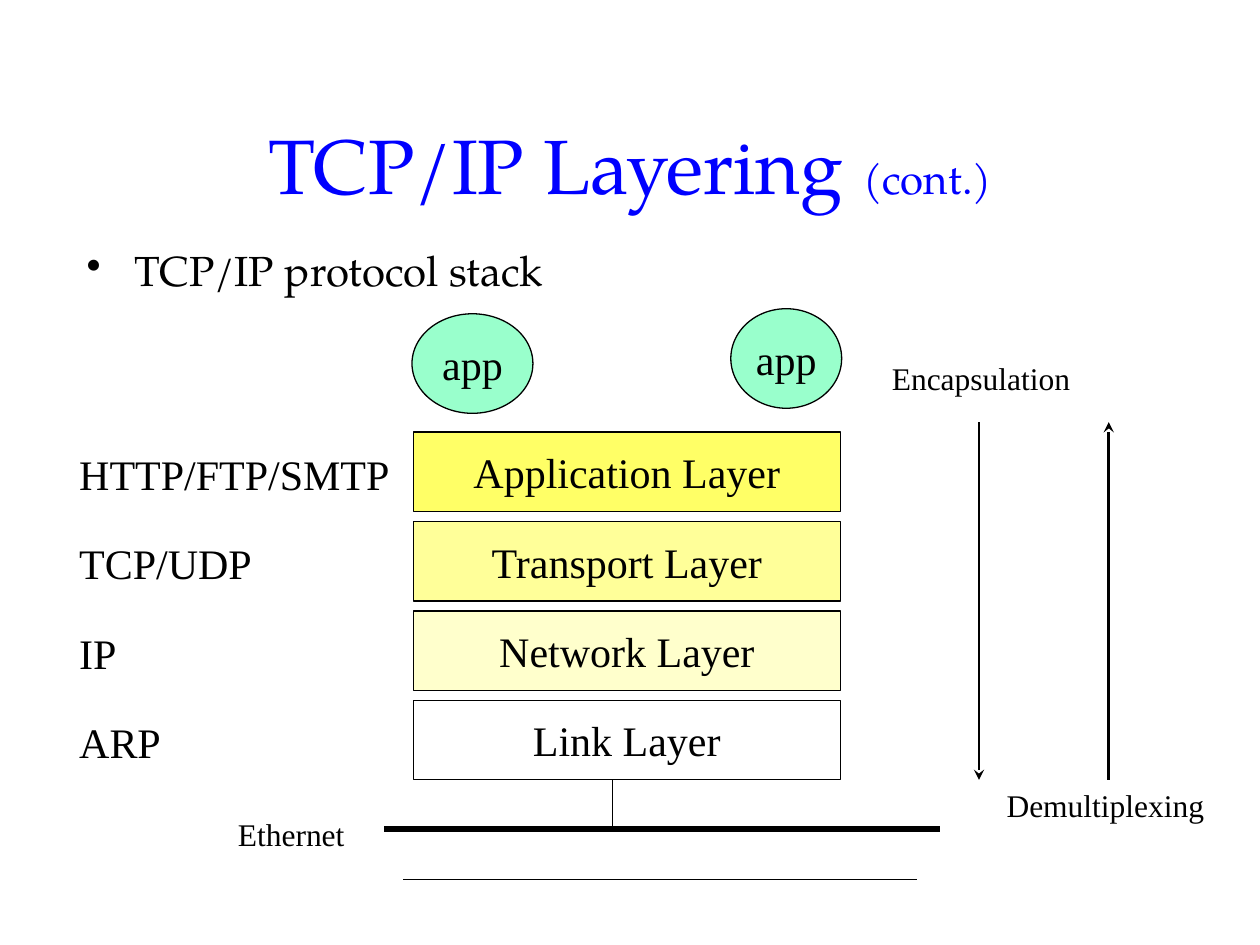
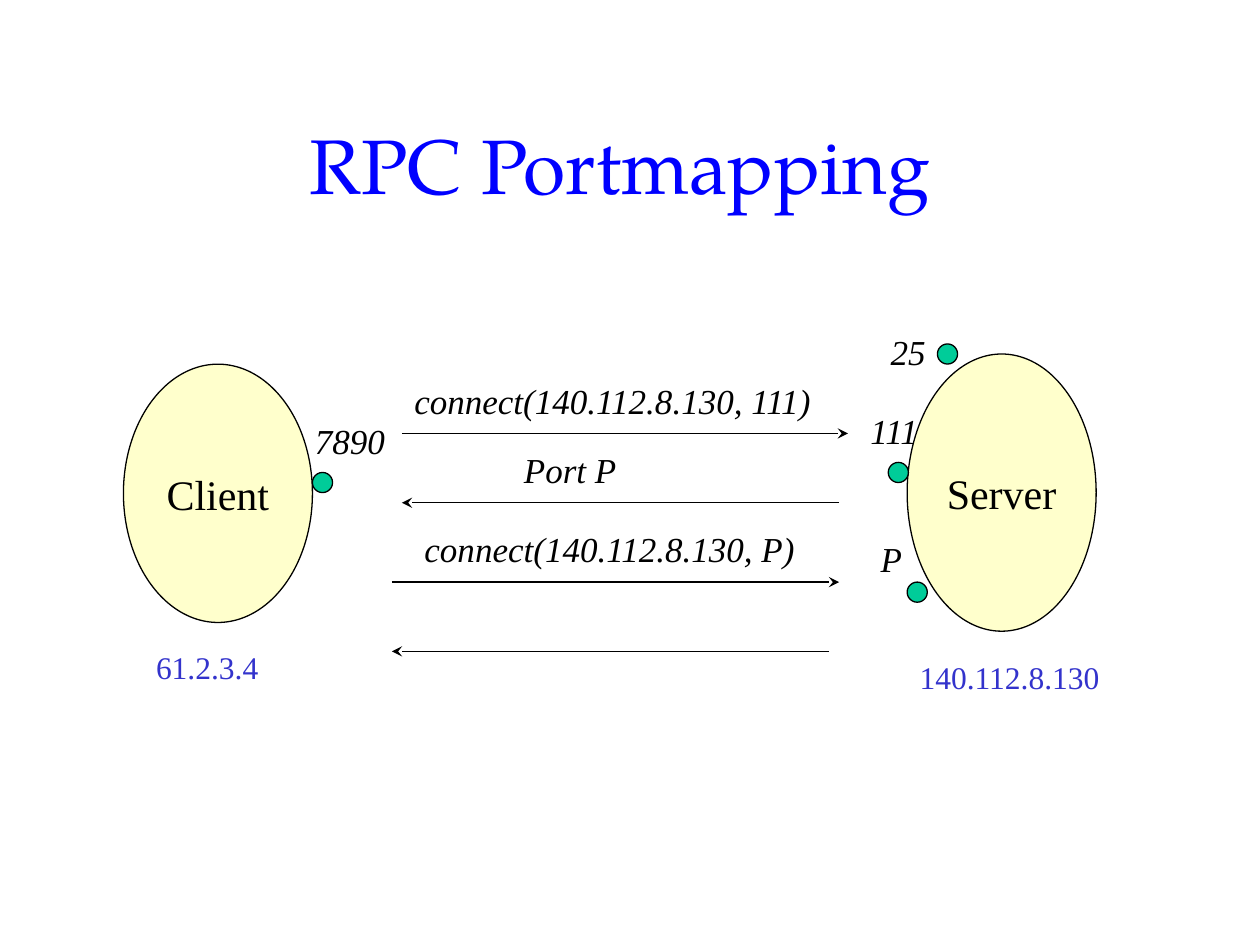
"""Build two slides on TCP/IP layering and RPC port mapping."""
from dataclasses import dataclass

from lxml.etree import SubElement
from pptx import Presentation
from pptx.dml.color import RGBColor
from pptx.enum.shapes import MSO_CONNECTOR, MSO_SHAPE
from pptx.enum.text import MSO_ANCHOR, MSO_AUTO_SIZE, PP_ALIGN
from pptx.oxml.ns import qn
from pptx.util import Inches, Pt


@dataclass(frozen=True)
class Theme:
    heading_font: str = "TeX Gyre Pagella"
    body_font: str = "Times New Roman"
    title_size: int = 44
    body_size: int = 24
    message_size: int = 20
    note_size: int = 18
    thin: float = 0.75
    medium: float = 1.5
    thick: float = 3
    title: str = "0000FF"
    ink: str = "000000"
    address: str = "3333CC"
    app: str = "99FFCC"
    port: str = "00CC99"
    host: str = "FFFFCC"
    layers: tuple = ("FFFF66", "FFFF99", "FFFFCC", "FFFFFF")


THEME = Theme()


def add_span(para, text, size=THEME.body_size, color=THEME.ink,
             font=THEME.body_font, italic=False):
    span = para.add_run()
    span.text = text
    span.font.name = font
    span.font.size = Pt(size)
    span.font.italic = italic
    span.font.color.rgb = RGBColor.from_string(color)


class Painter:
    def __init__(self, deck, theme):
        self.deck = deck
        self.theme = theme
        self.page = None

    def new_page(self, title, suffix=""):
        self.page = self.deck.slides.add_slide(self.deck.slide_layouts[6])
        box = self.text_box(0.75, 0.67, 8.5, 1.25)
        box.text_frame.vertical_anchor = MSO_ANCHOR.MIDDLE
        para = box.text_frame.paragraphs[0]
        para.alignment = PP_ALIGN.CENTER
        style = {"font": self.theme.heading_font, "color": self.theme.title}
        add_span(para, title, size=self.theme.title_size, **style)
        if suffix:
            add_span(para, suffix, **style)

    def text_box(self, left, top, width, height):
        box = self.page.shapes.add_textbox(
            Inches(left), Inches(top), Inches(width), Inches(height))
        box.text_frame.word_wrap = True
        return box

    def bullet(self, text, left, top, width, height):
        para = self.text_box(left, top, width, height).text_frame.paragraphs[0]
        para.line_spacing = 0.9
        para.space_before = Pt(6)
        properties = para._p.get_or_add_pPr()
        indent = Inches(0.38)
        properties.set("marL", str(indent))
        properties.set("indent", str(-indent))
        SubElement(properties, qn("a:buChar")).set("char", "•")
        add_span(para, text, font=self.theme.heading_font)

    def label(self, text, left, top, width, height, **style):
        frame = self.text_box(left, top, width, height).text_frame
        frame.auto_size = MSO_AUTO_SIZE.SHAPE_TO_FIT_TEXT
        add_span(frame.paragraphs[0], text, **style)

    def note(self, text, left, top, width, color=THEME.ink):
        self.label(text, left, top, width, 0.4,
                   size=self.theme.note_size, color=color)

    def message(self, text, left, top, width):
        self.label(text, left, top, width, 0.44,
                   size=self.theme.message_size, italic=True)

    def shape(self, kind, left, top, width, height, fill, text=""):
        shape = self.page.shapes.add_shape(
            kind, Inches(left), Inches(top), Inches(width), Inches(height))
        shape.shadow.inherit = False
        shape.fill.solid()
        shape.fill.fore_color.rgb = RGBColor.from_string(fill)
        shape.line.color.rgb = RGBColor.from_string(self.theme.ink)
        shape.line.width = Pt(self.theme.thin)
        if text:
            frame = shape.text_frame
            frame.word_wrap = False
            frame.vertical_anchor = MSO_ANCHOR.MIDDLE
            frame.paragraphs[0].alignment = PP_ALIGN.CENTER
            add_span(frame.paragraphs[0], text)

    def oval(self, left, top, width, height, fill, text=""):
        self.shape(MSO_SHAPE.OVAL, left, top, width, height, fill, text)

    def line(self, x1, y1, x2, y2, weight=THEME.thin, arrow=False):
        line = self.page.shapes.add_connector(
            MSO_CONNECTOR.STRAIGHT,
            Inches(x1), Inches(y1), Inches(x2), Inches(y2))
        line.line.color.rgb = RGBColor.from_string(self.theme.ink)
        line.line.width = Pt(weight)
        if arrow:
            SubElement(line.line._get_or_add_ln(),
                       qn("a:tailEnd")).set("type", "stealth")
        SubElement(line._element.spPr, qn("a:effectLst"))


def draw_layering(painter):
    theme = painter.theme
    painter.new_page("TCP/IP Layering ", "(cont.)")
    painter.bullet("TCP/IP protocol stack", 0.59, 1.94, 8.5, 0.47)

    layers = (("Application Layer", "HTTP/FTP/SMTP"),
              ("Transport Layer", "TCP/UDP"),
              ("Network Layer", "IP"),
              ("Link Layer", "ARP"))
    for row, ((layer, protocols), fill) in enumerate(zip(layers, theme.layers)):
        top = 3.43 + row * 0.71
        painter.shape(MSO_SHAPE.RECTANGLE, 3.28, top, 3.39, 0.63, fill, layer)
        painter.label(protocols, 0.53, top + 0.08, 2.68, 0.5)

    painter.oval(5.8, 2.45, 0.88, 0.79, theme.app, "app")
    painter.oval(3.27, 2.49, 0.96, 0.79, theme.app, "app")

    stack_top, stack_bottom, wire = 3.35, 6.19, 6.58
    painter.note("Encapsulation", 6.98, 2.8, 1.73)
    painter.line(7.77, stack_top, 7.77, stack_bottom, theme.medium, arrow=True)
    painter.note("Demultiplexing", 7.89, stack_bottom, 1.85)
    painter.line(8.8, stack_bottom, 8.8, stack_top, theme.medium, arrow=True)

    painter.note("Ethernet", 1.79, 6.42, 1.1)
    painter.line(4.86, stack_bottom, 4.86, wire)
    painter.line(3.05, wire, 7.46, wire, theme.thick)
    painter.line(3.2, 6.98, 7.28, 6.98)


def draw_portmapping(painter):
    theme = painter.theme
    painter.new_page("RPC Portmapping ")

    painter.oval(0.98, 2.89, 1.5, 2.05, theme.host, "Client")
    painter.oval(7.2, 2.81, 1.5, 2.2, theme.host, "Server")
    painter.note("61.2.3.4", 1.14, 5.09, 1.34, theme.address)
    painter.note("140.112.8.130", 7.2, 5.17, 2.21, theme.address)

    ports = (("7890", 2.48, 3.75, 2.4, 3.28, 0.79),
             ("25", 7.44, 2.73, 6.97, 2.57, 0.63),
             ("111", 7.05, 3.67, 6.81, 3.2, 0.63),
             ("P", 7.2, 4.62, 6.89, 4.22, 0.63))
    for port, dot_left, dot_top, left, top, width in ports:
        painter.oval(dot_left, dot_top, 0.16, 0.16, theme.port)
        painter.message(port, left, top, width)

    painter.message("connect(140.112.8.130, 111)", 3.19, 2.96, 3.46)
    painter.message("Port P", 4.06, 3.51, 1.49)
    painter.message("connect(140.112.8.130, P)", 3.27, 4.14, 3.39)
    for start, end, y in ((3.19, 6.73, 3.44), (6.66, 3.19, 3.99),
                          (3.11, 6.66, 4.62), (6.58, 3.11, 5.17)):
        painter.line(start, y, end, y, arrow=True)


def main():
    deck = Presentation()
    deck.slide_width = Inches(10)
    deck.slide_height = Inches(7.5)
    painter = Painter(deck, THEME)
    draw_layering(painter)
    draw_portmapping(painter)
    deck.save("out.pptx")


if __name__ == "__main__":
    main()
